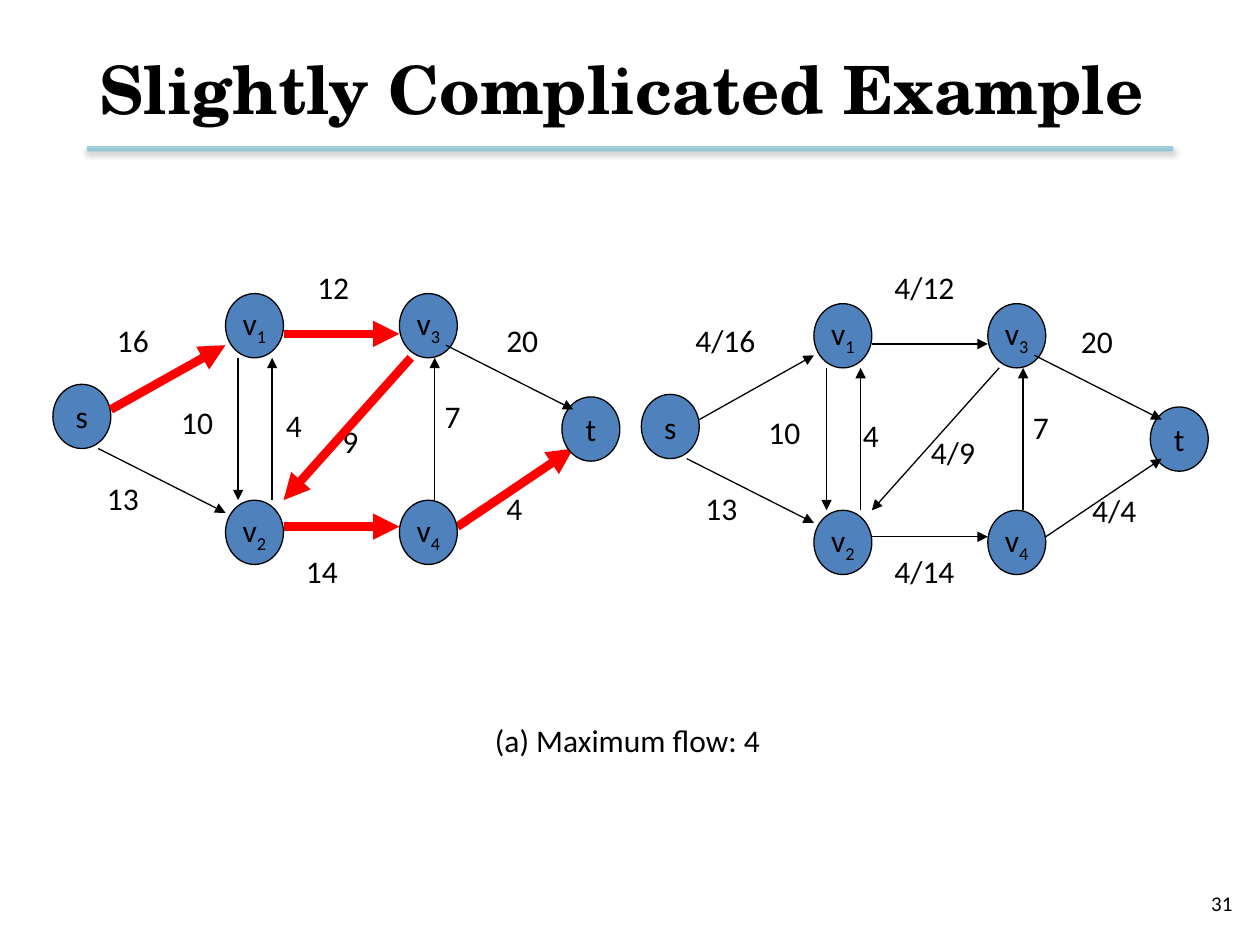
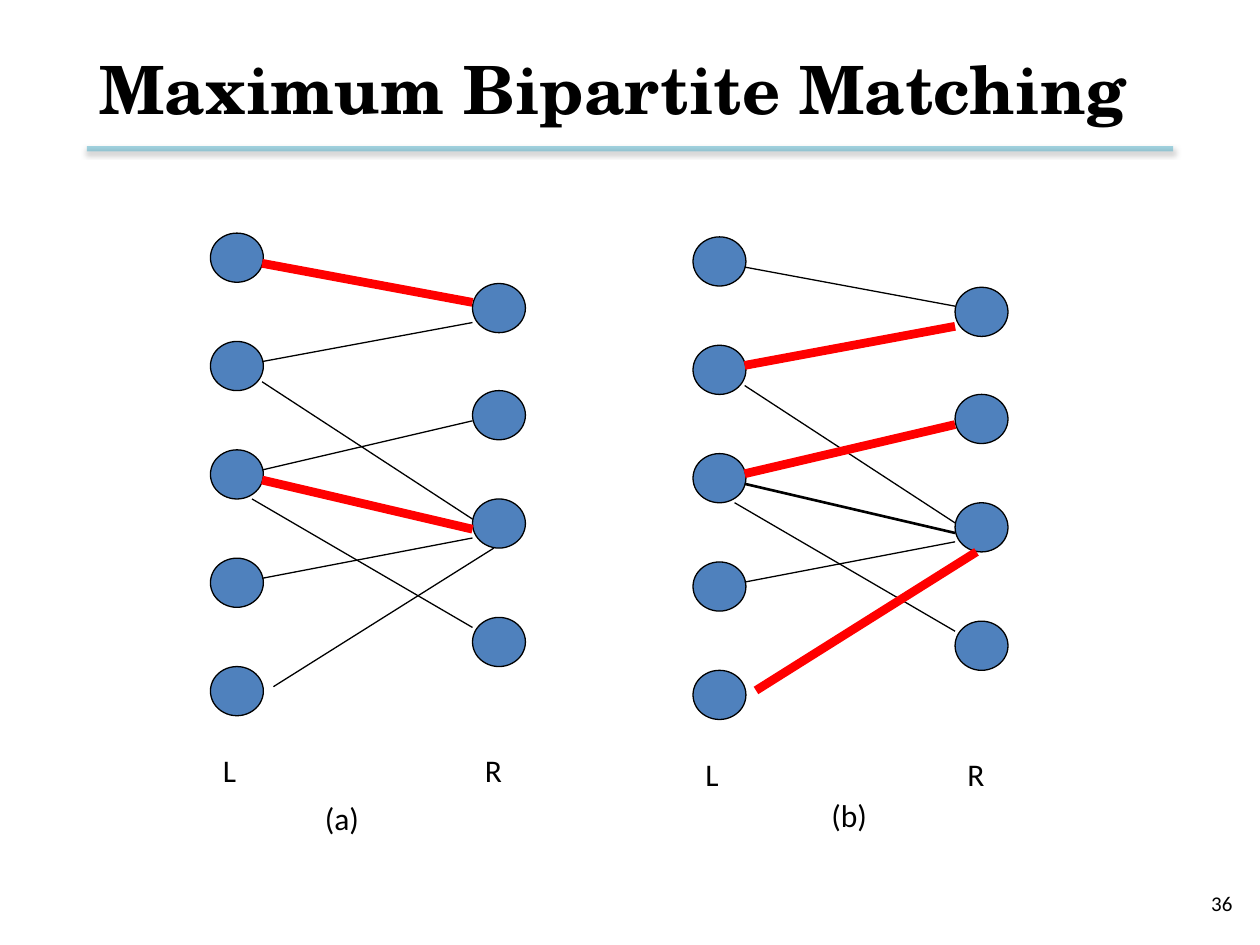
from lxml import etree
from pptx import Presentation
from pptx.dml.color import RGBColor
from pptx.enum.shapes import MSO_CONNECTOR as CONN, MSO_SHAPE as SHAPE
from pptx.enum.text import MSO_ANCHOR as ANCHOR, MSO_AUTO_SIZE as FIT, PP_ALIGN as ALIGN
from pptx.oxml import parse_xml
from pptx.oxml.ns import nsdecls, qn
from pptx.util import Inches, Pt

BLACK = RGBColor(0x00, 0x00, 0x00)
RED = RGBColor(0xFF, 0x00, 0x00)
BLUE = RGBColor(0x4F, 0x81, 0xBD)
TEAL = RGBColor(0x4B, 0xAC, 0xC6)
BODY = dict(name="Calibri", size=Pt(18))
NUMBER = dict(name="Calibri", size=Pt(12))
TITLE = dict(name="TeX Gyre Schola", size=Pt(38), bold=True)
THIN, MEDIUM, THICK = (BLACK, 0.75), (BLACK, 1.5), (RED, 5)

# Flow network: nodes (name, subscript, left, top) and edges (from, to)
FLOW_NODE = (0.46, 0.51)
FLOW_NODES = [
    ("s", "", 0.42, 3.05), ("v", "2", 1.79, 3.97), ("v", "4", 3.17, 3.97),
    ("t", "", 4.46, 3.15), ("v", "3", 3.17, 2.33), ("v", "1", 1.79, 2.33),
]
FLOW_EDGES = {
    "s-v1": (0.88, 3.25, 1.79, 2.74), "v1-v3": (2.25, 2.65, 3.17, 2.65),
    "v3-t": (3.54, 2.74, 4.55, 3.25), "s-v2": (0.78, 3.56, 1.79, 4.07),
    "v2-v4": (2.25, 4.18, 3.17, 4.18), "v4-t": (3.63, 4.18, 4.55, 3.56),
    "v1-v2": (1.89, 2.84, 1.89, 3.97), "v2-v1": (2.16, 3.97, 2.16, 2.84),
    "v4-v3": (3.45, 3.97, 3.45, 2.84), "v3-v2": (3.26, 2.84, 2.25, 3.97),
}
# Labels are (text, left, top, width)
FLOW_GRAPHS = [
    dict(offset=(0, 0), under={"v4-t"},
         path_edges={"s-v1", "v1-v3", "v3-v2", "v2-v4", "v4-t"},
         labels=[("20", 3.92, 2.5, 0.53), ("7", 3.43, 3.1, 0.37), ("9", 2.62, 3.3, 0.64),
                 ("16", 0.83, 2.5, 0.53), ("13", 0.75, 3.75, 0.53),
                 ("12", 2.42, 2.08, 0.53), ("10", 1.34, 3.15, 0.53),
                 ("4", 2.17, 3.17, 0.37), ("4", 3.92, 3.83, 0.37),
                 ("14", 2.33, 4.33, 0.53)]),
    dict(offset=(4.67, 0.08), under=set(), path_edges=set(),
         labels=[("4/9", 7.29, 3.39, 0.64), ("4/16", 5.42, 2.5, 0.79),
                 ("13", 5.5, 3.83, 0.53), ("4/12", 7, 2.08, 0.79),
                 ("10", 6, 3.23, 0.53), ("4", 6.75, 3.25, 0.37),
                 ("20", 8.48, 2.51, 0.53), ("4/4", 8.57, 3.85, 0.63),
                 ("7", 8.1, 3.19, 0.37), ("4/14", 7, 4.33, 0.79)]),
]
FLOW_CAPTION = ("(a) Maximum flow: 4", 3.83, 5.67, 2.33)

# Bipartite graph
MATCH_NODE = (0.42, 0.39)
LEFT_X, RIGHT_X, LETTER_Y = 1.67, 3.75, 5.91
LEFT_TOPS = [1.85 + 0.86 * i for i in range(5)]
RIGHT_TOPS = [2.25, 3.1, 3.96, 4.9]
MATCH_EDGES = [
    (2.08, 2.09, 3.75, 2.4), (2.08, 2.87, 3.75, 2.56), (2.08, 3.03, 3.75, 4.12),
    (2.08, 3.73, 3.75, 3.34), (2.08, 3.81, 3.75, 4.2), (2, 3.96, 3.75, 4.98),
    (2.08, 4.59, 3.75, 4.27), (2.17, 5.45, 3.92, 4.35),
]
# Styles are by edge index; all other edges are thin
MATCHINGS = [
    dict(offset=(0, 0), styles={0: THICK, 4: THICK}, caption=("(a)", 2.48, 6.29, 0.57)),
    dict(offset=(3.83, 0.03), styles={1: THICK, 3: THICK, 4: MEDIUM, 7: THICK},
         caption=("(b)", 6.5, 6.27, 0.59)),
]


def add_run(p, text, fmt, subscript=False):
    r = p.add_run()
    r.text = text
    for key, value in fmt.items():
        setattr(r.font, key, value)
    r.font.color.rgb = BLACK
    if subscript:
        r._r.get_or_add_rPr().set("baseline", "-25000")


def add_text(slide, text, left, top, width, height=0.4, fmt=BODY, wrap=False):
    box = slide.shapes.add_textbox(*map(Inches, (left, top, width, height)))
    tf = box.text_frame
    tf.word_wrap = wrap
    add_run(tf.paragraphs[0], text, fmt)
    return tf


def add_line(slide, ends, style, arrow=False):
    line = slide.shapes.add_connector(CONN.STRAIGHT, *map(Inches, ends))
    color, width = style
    line.line.color.rgb = color
    line.line.width = Pt(width)
    if arrow:
        etree.SubElement(line.line._get_or_add_ln(), qn("a:tailEnd"), type="triangle")
    etree.SubElement(line._element.spPr, qn("a:effectLst"))
    return line


def add_node(slide, left, top, size, name="", sub=""):
    sp = slide.shapes.add_shape(SHAPE.OVAL, *map(Inches, (left, top, *size)))
    sp.shadow.inherit = False
    sp.fill.solid()
    sp.fill.fore_color.rgb = BLUE
    sp.line.color.rgb = BLACK
    sp.line.width = Pt(0.75)
    if name:
        tf = sp.text_frame
        tf.word_wrap = False
        tf.vertical_anchor = ANCHOR.MIDDLE
        p = tf.paragraphs[0]
        p.alignment = ALIGN.CENTER
        add_run(p, name, BODY)
        if sub:
            add_run(p, sub, BODY, subscript=True)


def shift(ends, offset):
    dx, dy = offset
    x1, y1, x2, y2 = ends
    return x1 + dx, y1 + dy, x2 + dx, y2 + dy


def new_slide(prs, title, number):
    slide = prs.slides.add_slide(prs.slide_layouts[5])
    # Half-transparent rule with a soft shadow
    rule = add_line(slide, (0.69, 1.18, 9.31, 1.18), (TEAL, 3))
    clr = rule._element.spPr.find(".//" + qn("a:srgbClr"))
    etree.SubElement(clr, qn("a:alpha"), val="50000")
    rule._element.spPr.find(qn("a:effectLst")).append(parse_xml(
        f'<a:outerShdw {nsdecls("a")} blurRad="{Pt(3.1)}" dist="{Pt(1.6)}" dir="5400000" '
        'rotWithShape="0"><a:srgbClr val="000000"><a:alpha val="38000"/></a:srgbClr>'
        '</a:outerShdw>'))
    # Slide number
    tf = add_text(slide, number, 7.55, 6.97, 2.33, fmt=NUMBER, wrap=True)
    tf.vertical_anchor = ANCHOR.MIDDLE
    tf.paragraphs[0].alignment = ALIGN.RIGHT
    # Title
    sp = slide.shapes.title
    sp.left, sp.top, sp.width, sp.height = map(Inches, (0.69, 0.17, 8.62, 1.06))
    tf = sp.text_frame
    tf.auto_size = FIT.NONE
    tf.vertical_anchor = ANCHOR.MIDDLE
    tf.paragraphs[0].alignment = ALIGN.LEFT
    add_run(tf.paragraphs[0], title, TITLE)
    return slide


def draw_flow(slide, graph):
    dx, dy = graph["offset"]

    def draw_edges(names):
        for name in names:
            style = THICK if name in graph["path_edges"] else THIN
            add_line(slide, shift(FLOW_EDGES[name], (dx, dy)), style, arrow=True)

    for label in graph["labels"]:
        add_text(slide, *label)
    draw_edges(graph["under"])
    for name, sub, left, top in FLOW_NODES:
        add_node(slide, left + dx, top + dy, FLOW_NODE, name, sub)
    draw_edges(name for name in FLOW_EDGES if name not in graph["under"])


def draw_matching(slide, graph):
    dx, dy = graph["offset"]
    for letter, x, tops in (("L", LEFT_X, LEFT_TOPS), ("R", RIGHT_X, RIGHT_TOPS)):
        for top in tops:
            add_node(slide, x + dx, top + dy, MATCH_NODE)
        add_text(slide, letter, x + dx, LETTER_Y + dy, MATCH_NODE[0], wrap=True)
    for i, ends in enumerate(MATCH_EDGES):
        add_line(slide, shift(ends, (dx, dy)), graph["styles"].get(i, THIN))
    add_text(slide, *graph["caption"])


def main():
    prs = Presentation()
    prs.slide_width, prs.slide_height = Inches(10), Inches(7.5)

    slide = new_slide(prs, "Slightly Complicated Example", "31")
    for graph in FLOW_GRAPHS:
        draw_flow(slide, graph)
    add_text(slide, *FLOW_CAPTION)

    slide = new_slide(prs, "Maximum Bipartite Matching", "36")
    for graph in MATCHINGS:
        draw_matching(slide, graph)

    prs.save("out.pptx")


if __name__ == "__main__":
    main()
